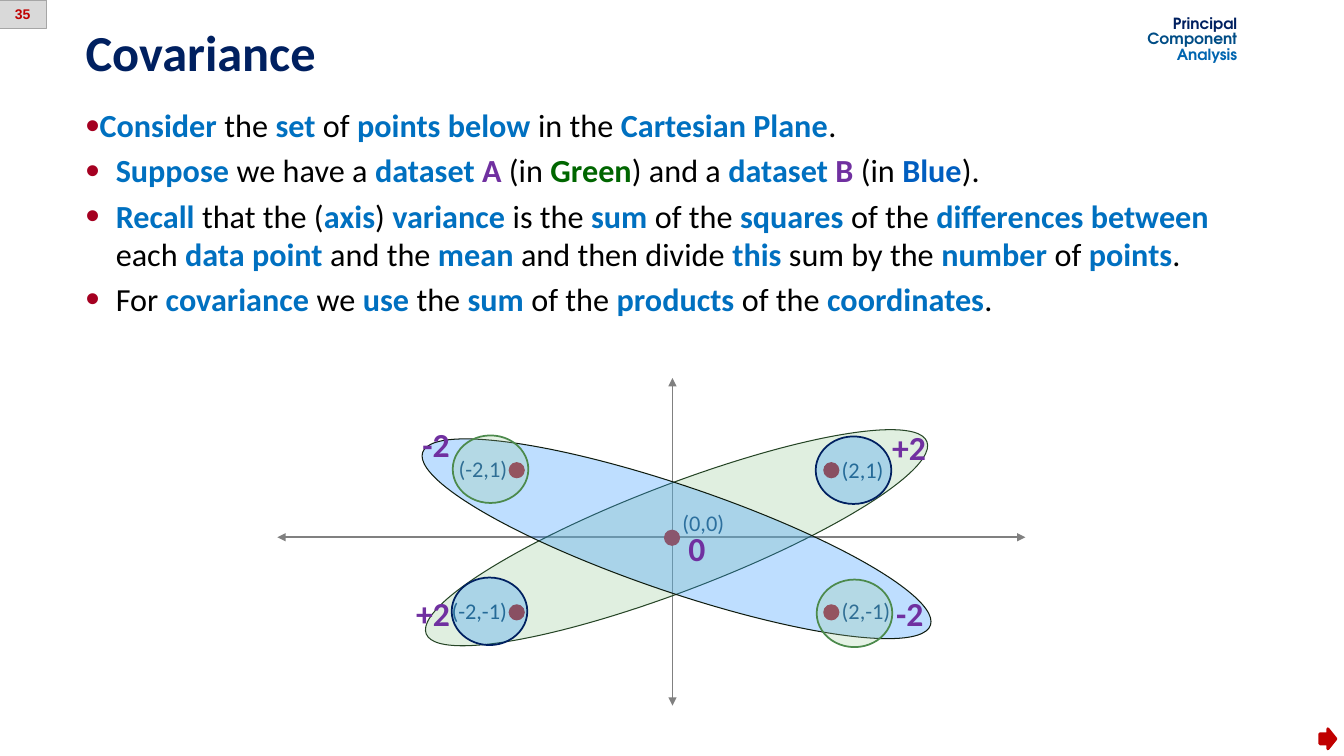
from lxml import etree
from pptx import Presentation
from pptx.dml.color import RGBColor
from pptx.enum.shapes import MSO_CONNECTOR, MSO_SHAPE
from pptx.enum.text import MSO_ANCHOR, PP_ALIGN
from pptx.oxml.ns import qn
from pptx.util import Inches, Pt

STRAIGHT = MSO_CONNECTOR.STRAIGHT
OVAL, RECTANGLE, ARROW = MSO_SHAPE.OVAL, MSO_SHAPE.RECTANGLE, MSO_SHAPE.RIGHT_ARROW
TOP, MIDDLE, BOTTOM = MSO_ANCHOR.TOP, MSO_ANCHOR.MIDDLE, MSO_ANCHOR.BOTTOM
LEFT, CENTER, RIGHT = PP_ALIGN.LEFT, PP_ALIGN.CENTER, PP_ALIGN.RIGHT

NAVY, KEYWORD, PURPLE, RED = "002060", "0070C0", "7030A0", "C00000"
KEYWORD_COLOURS = {"A": PURPLE, "B": PURPLE, "Green": "006600", "Blue": "005EC0"}
STATEMENTS = [
    "|Consider| the |set| of |points below| in the |Cartesian Plane|.",
    "|Suppose| we have a |dataset ||A| (in |Green|) and a |dataset ||B| (in |Blue|).",
    "|Recall| that the (|axis|) |variance| is the |sum| of the |squares| of the "
    "|differences between| each |data point| and the |mean| and then divide |this| "
    "sum by the |number| of |points|.",
    "For |covariance| we |use| the |sum| of the |products| of the |coordinates|.",
]
LOGO_LINES = [("Principal", NAVY), ("Component", "004D86"), ("Analysis", "0065B0")]

GREEN_SET = ("99CC99", "4C8A4C")
BLUE_SET = ("0A85FF", NAVY)
DATASET_ELLIPSES = [(0.04, -21, "99CC99", "264526"), (0.05, 18.8, "2B93FF", "0F1C0F")]
POINTS = [(0, 0), (-1.54, -0.67), (1.58, -0.67), (-1.54, 0.74), (1.58, 0.74)]
COORDINATES = [
    ("(0,0)", 0, -0.33, 0.67), ("(2,1)", 1.58, -0.85, 0.67), ("(-2,1)", -2.22, -0.86, 0.72),
    ("(-2,-1)", -2.29, 0.55, 0.78), ("(2,-1)", 1.58, 0.55, 0.83),
]
POINT_RINGS = [
    (-2.18, -1.01, GREEN_SET), (-2.19, 0.4, BLUE_SET),
    (1.43, 0.42, GREEN_SET), (1.42, -1, BLUE_SET),
]
PRODUCTS = [
    ("-2", -2.58, -1.17), ("+2", -2.64, 0.5), ("-2", 2.12, 0.5),
    ("+2", 2.08, -1.14), ("0", 0.06, -0.14),
]


def rgb(value):
    """Turn a hex string into a colour."""
    return RGBColor.from_string(value)


def add_run(paragraph, text, size, colour, bold=False, font="Calibri"):
    """Append one formatted run."""
    run = paragraph.add_run()
    run.text = text
    run.font.size = Pt(size)
    run.font.name = font
    run.font.bold = bold
    run.font.color.rgb = rgb(colour)


def add_text_frame(slide, left, top, width, height, anchor=TOP):
    """Add a wrapping text box and return its frame."""
    frame = slide.shapes.add_textbox(
        Inches(left), Inches(top), Inches(width), Inches(height)).text_frame
    frame.word_wrap = True
    frame.vertical_anchor = anchor
    return frame


def add_figure(slide, kind, box, fill, outline, weight=0.75, alpha=None):
    """Add a filled preset shape, optionally translucent."""
    figure = slide.shapes.add_shape(kind, *(Inches(length) for length in box))
    figure.shadow.inherit = False
    figure.fill.solid()
    figure.fill.fore_color.rgb = rgb(fill)
    figure.line.color.rgb = rgb(outline)
    figure.line.width = Pt(weight)
    if alpha is not None:
        colour = figure.fill._xPr.find(qn("a:solidFill"))[0]
        etree.SubElement(colour, qn("a:alpha"), val=str(alpha * 1000))
    return figure


def add_axis(slide, start, end):
    """Draw a grey axis with an arrowhead at both ends."""
    axis = slide.shapes.add_connector(
        STRAIGHT, *(Inches(length) for length in (*start, *end)))
    axis.line.color.rgb = rgb("808080")
    axis.line.width = Pt(1.25)
    line = axis.line._get_or_add_ln()
    for tip in ("a:headEnd", "a:tailEnd"):
        etree.SubElement(line, qn(tip), type="triangle")
    etree.SubElement(axis._element.spPr, qn("a:effectLst"))


def add_bullet(paragraph, margin):
    """Give a paragraph a hanging dark red bullet."""
    properties = paragraph._p.get_or_add_pPr()
    properties.set("marL", str(Inches(margin)))
    properties.set("indent", str(Inches(-0.3)))
    bullet_colour = etree.SubElement(properties, qn("a:buClr"))
    etree.SubElement(bullet_colour, qn("a:srgbClr"), val="A50021")
    etree.SubElement(properties, qn("a:buSzPct"), val="125000")
    etree.SubElement(properties, qn("a:buFont"), typeface="Arial")
    etree.SubElement(properties, qn("a:buChar"), char="•")


def draw_title(slide, left, top, width, height):
    """Write the slide title."""
    title = add_text_frame(slide, left, top, width, height, BOTTOM).paragraphs[0]
    title.line_spacing = 0.9
    add_run(title, "Covariance", 36, NAVY, True)


def draw_statements(slide, left, top, width, height):
    """Write the bullets, with keywords between bars in bold colour."""
    frame = add_text_frame(slide, left, top, width, height)
    for index, statement in enumerate(STATEMENTS):
        paragraph = frame.add_paragraph() if index else frame.paragraphs[0]
        if index:
            paragraph.space_before = Pt(4.6)
        add_bullet(paragraph, 0.3 if index else 0)
        for position, part in enumerate(statement.split("|")):
            keyword = position % 2 == 1
            colour = KEYWORD_COLOURS.get(part, KEYWORD) if keyword else "000000"
            if part:
                add_run(paragraph, part, 23, colour, keyword)


def draw_plane(slide, left, top, width, height):
    """Draw the axes, points, datasets and products around the origin."""
    origin_x, origin_y = left + 3.92, top + 1.58
    add_axis(slide, (left, origin_y), (left + width, origin_y))
    add_axis(slide, (origin_x, top + height), (origin_x, top))
    for x, y in POINTS:
        dot = (origin_x + x - 0.08, origin_y + y - 0.07, 0.15, 0.15)
        add_figure(slide, OVAL, dot, RED, RED)
    for text, x, y, label_width in COORDINATES:
        label = add_text_frame(slide, origin_x + x, origin_y + y, label_width, 0.37)
        add_run(label.paragraphs[0], text, 16, "003366")
    for y, angle, fill, outline in DATASET_ELLIPSES:
        box = (origin_x - 2.62, origin_y + y - 0.56, 5.32, 1.05)
        add_figure(slide, OVAL, box, fill, outline, alpha=30).rotation = angle
    for x, y, (fill, outline) in POINT_RINGS:
        ring = (origin_x + x, origin_y + y, 0.75, 0.67)
        add_figure(slide, OVAL, ring, fill, outline, 1.25, 25)
    for text, x, y in PRODUCTS:
        product = add_text_frame(slide, origin_x + x, origin_y + y, 0.56, 0.5)
        add_run(product.paragraphs[0], text, 24, PURPLE, True)


def draw_topic(slide, left, top, width, height):
    """Write the three-line topic mark."""
    frame = add_text_frame(slide, left, top, width, height)
    for index, (word, colour) in enumerate(LOGO_LINES):
        paragraph = frame.add_paragraph() if index else frame.paragraphs[0]
        paragraph.alignment = RIGHT
        paragraph.line_spacing = Pt(11)
        add_run(paragraph, word, 11, colour, True, "TeX Gyre Adventor")


def draw_page_number(slide, *box):
    """Draw the grey page number tab."""
    frame = add_figure(slide, RECTANGLE, box, "D9D9D9", "A6A6A6").text_frame
    frame.vertical_anchor = MIDDLE
    frame.paragraphs[0].alignment = CENTER
    add_run(frame.paragraphs[0], "35", 10, RED, True, "Arial")


def main():
    """Build and save the slide."""
    presentation = Presentation()
    presentation.slide_width, presentation.slide_height = Inches(13.33), Inches(7.5)
    slide = presentation.slides.add_slide(presentation.slide_layouts[6])
    draw_title(slide, 0.75, 0.2, 8.75, 0.67)
    add_figure(slide, ARROW, (13.09, 7.23, 0.16, 0.2), RED, RED, 2)
    draw_statements(slide, 0.75, 1, 12, 2.51)
    draw_plane(slide, 2.75, 3.75, 7.42, 3.25)
    draw_topic(slide, 11.26, 0.12, 1.11, 0.56)
    draw_page_number(slide, -0.01, 0, 0.47, 0.28)
    presentation.save("out.pptx")


if __name__ == "__main__":
    main()
